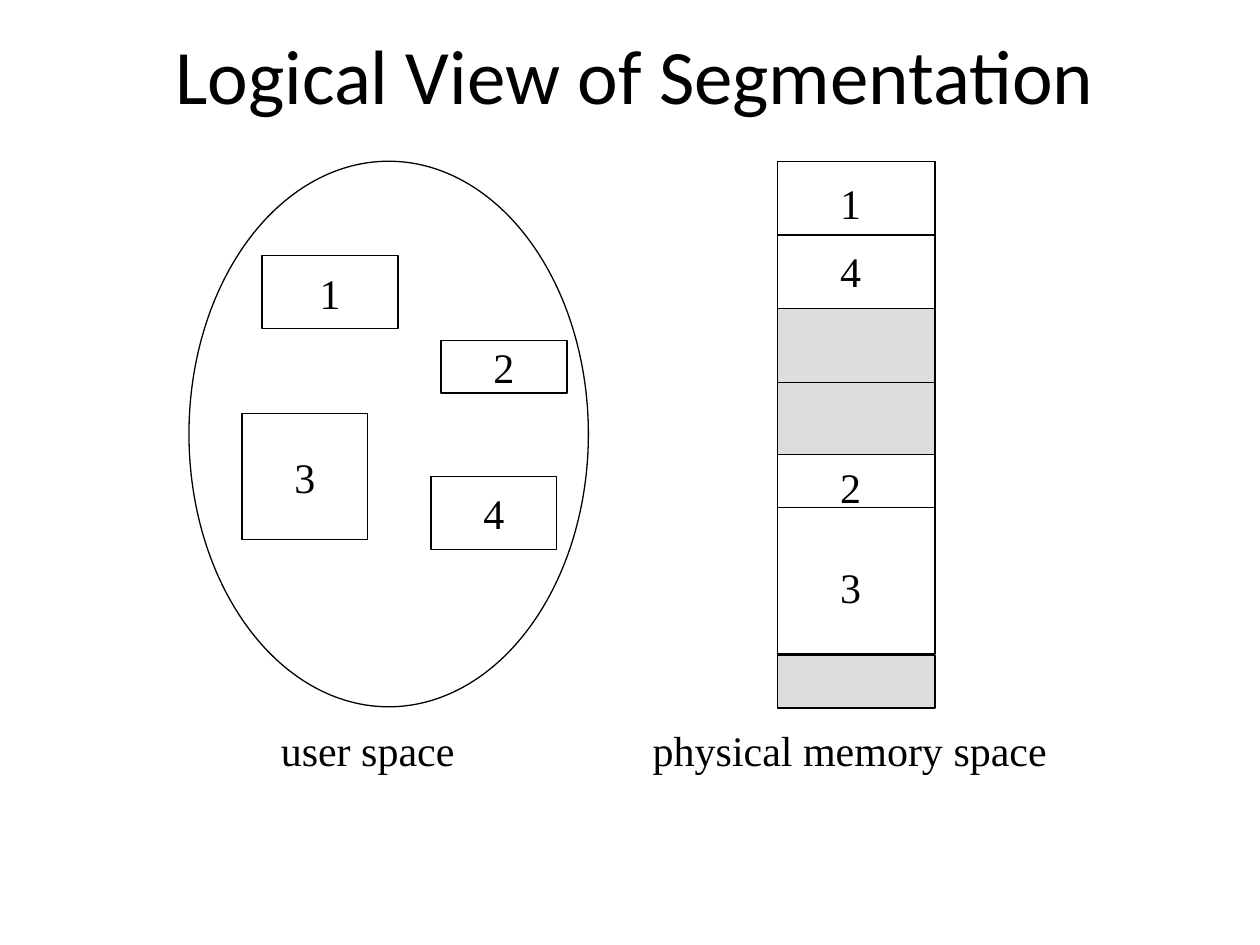
import dataclasses
import typing

import lxml.etree
import pptx
import pptx.dml.color
import pptx.enum.shapes
import pptx.enum.text
import pptx.oxml.ns
import pptx.util

Inches = pptx.util.Inches
Pt = pptx.util.Pt
RGB = pptx.dml.color.RGBColor
KIND = pptx.enum.shapes.MSO_SHAPE
LINK = pptx.enum.shapes.MSO_CONNECTOR

BLACK = RGB(0, 0, 0)
WHITE = RGB(255, 255, 255)
GREY = RGB(0xDD, 0xDD, 0xDD)

SERIF = {"name": "Times New Roman", "size": Pt(24)}
SANS = {"name": "Calibri", "size": Pt(44)}
LEFT, RIGHT = 1, 3  # connection sites of a rectangle


@dataclasses.dataclass
class Box:
    x: float
    y: float
    w: float
    h: float
    text: str = ""
    fill: RGB = WHITE
    split: bool = False


# Segments as the user sees them
SEGS = [
    Box(2.08, 2.03, 1.08, 0.58, "1"),
    Box(1.92, 3.28, 1, 1, "3"),
    Box(3.5, 2.7, 1, 0.42, "2"),
    Box(3.42, 3.78, 1, 0.58, "4"),
]

# Blocks of physical memory; a split block is halved by a line
MEM_X, MEM_W = 6.17, 1.25
BLOCKS = [
    Box(MEM_X, 1.28, MEM_W, 1.17, split=True),
    Box(MEM_X, 2.45, MEM_W, 1.17, fill=GREY, split=True),
    Box(MEM_X, 3.61, MEM_W, 1.58),
    Box(MEM_X, 5.2, MEM_W, 0.42, fill=GREY),
]
CUT = 4.03  # border between segments 2 and 3
MARKS = [Box(6.57, y, 0.36, 0.5, text)
         for text, y in (("1", 1.36), ("4", 1.9), ("2", 3.61), ("3", 4.41))]

NAMES = [
    Box(2.13, 5.7, 1.66, 0.5, "user space "),
    Box(5.08, 5.7, 3.33, 0.5, "physical memory space"),
]
TITLE = Box(0.5, 0, 9.08, 1.17, "Logical View of Segmentation")


def place(box: Box) -> typing.List[int]:
    return [Inches(n) for n in (box.x, box.y, box.w, box.h)]


def write(frame: typing.Any, text: str, style: dict, wrap: bool) -> None:
    frame.word_wrap = wrap
    frame.vertical_anchor = pptx.enum.text.MSO_ANCHOR.MIDDLE
    para = frame.paragraphs[0]
    para.alignment = pptx.enum.text.PP_ALIGN.CENTER
    run = para.add_run()
    run.text = text
    for key, value in style.items():
        setattr(run.font, key, value)
    run.font.color.rgb = BLACK


def label(shapes: typing.Any, box: Box, style: dict = SERIF,
          wrap: bool = False) -> None:
    write(shapes.add_textbox(*place(box)).text_frame, box.text, style, wrap)


def pen(line: typing.Any) -> None:
    line.color.rgb = BLACK
    line.width = Pt(0.75)


def draw(shapes: typing.Any, box: Box,
         kind: KIND = KIND.RECTANGLE) -> typing.Any:
    shape = shapes.add_shape(kind, *place(box))
    shape.shadow.inherit = False
    shape.fill.solid()
    shape.fill.fore_color.rgb = box.fill
    pen(shape.line)
    if box.text:
        write(shape.text_frame, box.text, SERIF, False)
    return shape


def rule(shapes: typing.Any, y: float) -> typing.Any:
    line = shapes.add_connector(LINK.STRAIGHT, Inches(MEM_X), Inches(y),
                                Inches(MEM_X + MEM_W), Inches(y))
    pen(line.line)
    lxml.etree.SubElement(line.element.spPr, pptx.oxml.ns.qn("a:effectLst"))
    return line


def main() -> None:
    deck = pptx.Presentation()
    deck.slide_width, deck.slide_height = Inches(10), Inches(7.5)
    shapes = deck.slides.add_slide(deck.slide_layouts[6]).shapes

    # Title
    label(shapes, TITLE, SANS, True)

    # User space
    draw(shapes, Box(1.5, 1.28, 3.17, 4.33), KIND.OVAL)
    for seg in SEGS:
        draw(shapes, seg)

    # Physical memory
    mem = shapes.add_group_shape().shapes
    for block in BLOCKS:
        rect = draw(mem, block)
        if block.split:
            line = rule(mem, block.y + block.h / 2)
            line.begin_connect(rect, LEFT)
            line.end_connect(rect, RIGHT)
    rule(mem, CUT)
    for mark in MARKS:
        label(mem, mark)

    # Names of the two spaces
    for name in NAMES:
        label(shapes, name)

    deck.save("out.pptx")


if __name__ == "__main__":
    main()
